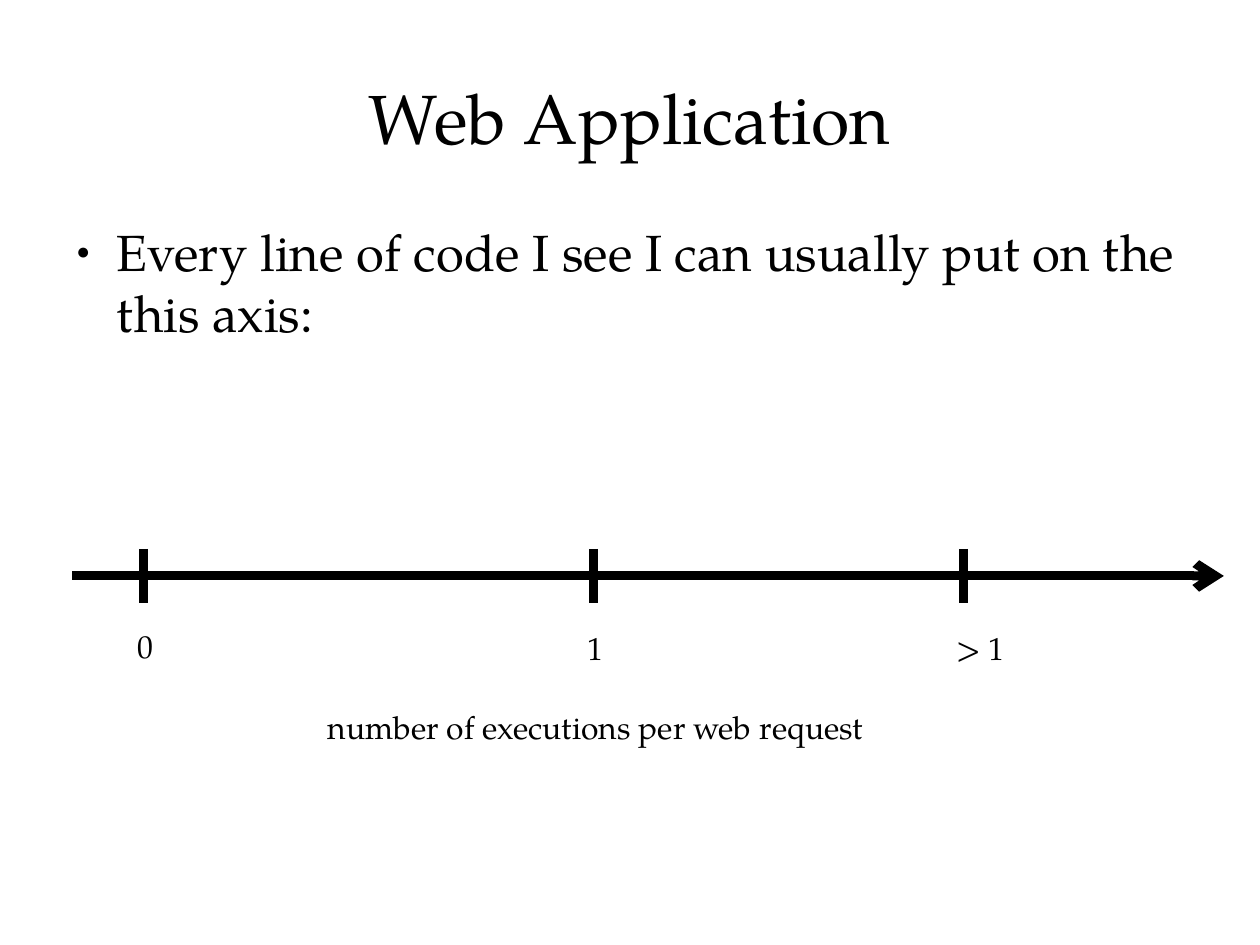
from lxml.etree import SubElement
from pptx import Presentation
from pptx.dml.color import RGBColor
from pptx.enum.shapes import MSO_CONNECTOR
from pptx.enum.text import MSO_ANCHOR, MSO_AUTO_SIZE, PP_ALIGN
from pptx.oxml.ns import qn
from pptx.util import Pt

COLORS = {"ink": "000000", "paper": "FFFFFF"}


class AxisSlide:
    font_name = "TeX Gyre Pagella"
    stroke = 5.67

    def __init__(self, deck):
        self.slide = deck.slides.add_slide(deck.slide_layouts[1])
        backdrop = self.slide.background.fill
        backdrop.solid()
        backdrop.fore_color.rgb = RGBColor.from_string(COLORS["paper"])

    def format_font(self, paragraph, size):
        font = paragraph.font
        font.name = self.font_name
        font.size = Pt(size)
        font.color.rgb = RGBColor.from_string(COLORS["ink"])

    def fill_placeholder(self, holder, text, left, top, width, height, anchor):
        holder.left, holder.top = Pt(left), Pt(top)
        holder.width, holder.height = Pt(width), Pt(height)
        frame = holder.text_frame
        frame.text = text
        frame.word_wrap = True
        frame.auto_size = MSO_AUTO_SIZE.NONE
        frame.vertical_anchor = anchor
        frame.margin_left = frame.margin_right = Pt(0)
        frame.margin_top = frame.margin_bottom = Pt(0)
        return frame.paragraphs[0]

    def title(self, text, *box):
        heading = self.fill_placeholder(
            self.slide.shapes.title, text, *box, MSO_ANCHOR.MIDDLE)
        heading.alignment = PP_ALIGN.CENTER
        self.format_font(heading, 44)

    def bullet(self, text, *box):
        statement = self.fill_placeholder(
            self.slide.placeholders[1], text, *box, MSO_ANCHOR.TOP)
        statement.space_before = Pt(14.1)
        properties = statement._p.get_or_add_pPr()
        properties.set("marL", str(Pt(34)))
        properties.set("indent", str(Pt(-25.5)))
        bullet_color = SubElement(properties, qn("a:buClr"))
        SubElement(bullet_color, qn("a:srgbClr"), val=COLORS["ink"])
        SubElement(properties, qn("a:buSzPct"), val="45000")
        SubElement(properties, qn("a:buChar"), char="●")
        self.format_font(statement, 32)

    def label(self, text, left, top, width, height, wrap=True):
        caption = self.slide.shapes.add_textbox(
            Pt(left), Pt(top), Pt(width), Pt(height))
        frame = caption.text_frame
        frame.text = text
        frame.word_wrap = wrap
        self.format_font(frame.paragraphs[0], 20)

    def line(self, x1, y1, x2, y2, arrow=False):
        rule = self.slide.shapes.add_connector(
            MSO_CONNECTOR.STRAIGHT, Pt(x1), Pt(y1), Pt(x2), Pt(y2))
        rule.line.width = Pt(self.stroke)
        rule.line.color.rgb = RGBColor.from_string(COLORS["ink"])
        properties = rule._element.spPr
        if arrow:
            SubElement(properties.find(qn("a:ln")), qn("a:tailEnd"), type="arrow")
        SubElement(properties, qn("a:effectLst"))


def main():
    deck = Presentation()
    deck.slide_width, deck.slide_height = Pt(793.75), Pt(595.25)
    page = AxisSlide(deck)

    page.title("Web Application", 39.6, 23.8, 714.2, 99.4)
    page.bullet("Every line of code I see I can usually put on the this axis:",
                39.6, 139, 714.2, 92.9)
    page.label("number of executions per web request",
               199.4, 442, 419, 40.3, wrap=False)

    axis_y, tick_reach = 362.8, 17
    ticks = [("0", 90.7, 391, 39.6),
             ("1", 374.2, 392.4, 39.6),
             ("> 1", 606.7, 392.4, 79.2)]
    for text, tick_x, label_top, label_width in ticks:
        page.line(tick_x, axis_y - tick_reach, tick_x, axis_y + tick_reach)
        page.label(text, tick_x - 11.4, label_top, label_width, 40.3)
    page.line(45.4, axis_y, 771, axis_y, arrow=True)

    deck.save("out.pptx")


if __name__ == "__main__":
    main()
